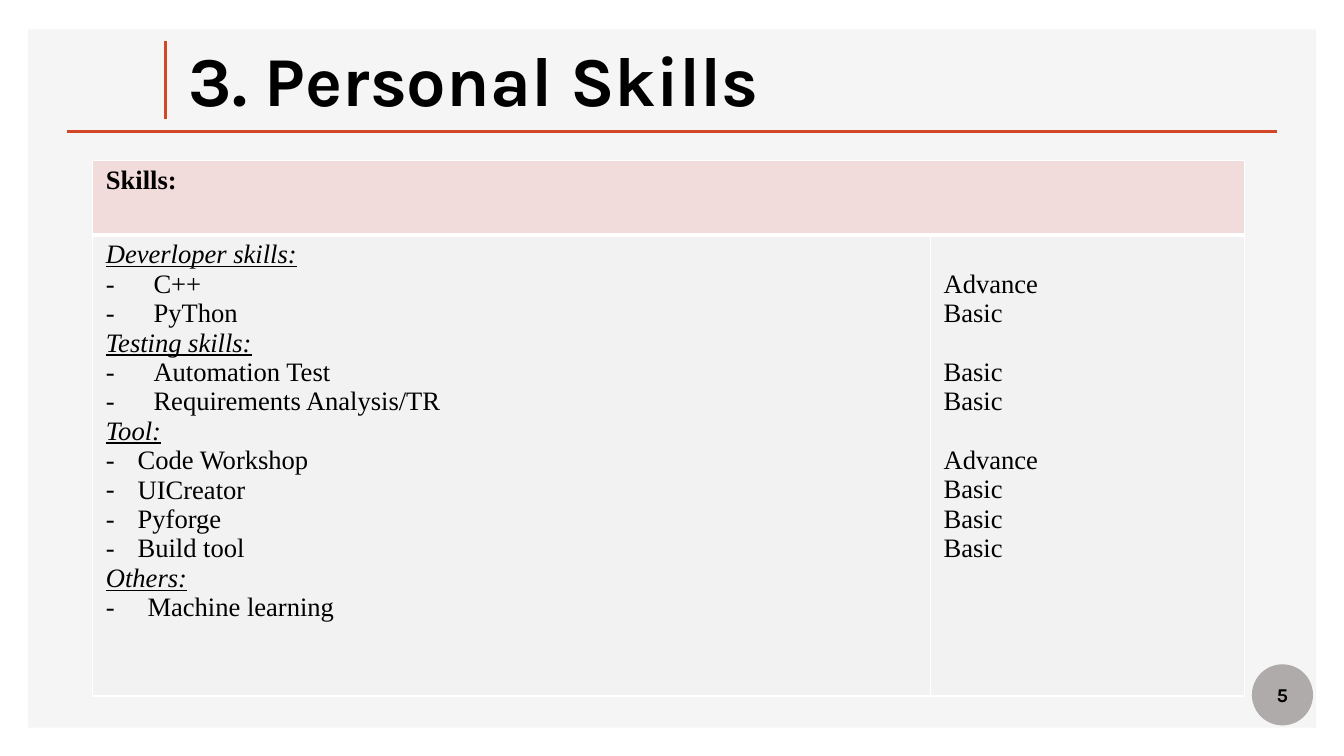
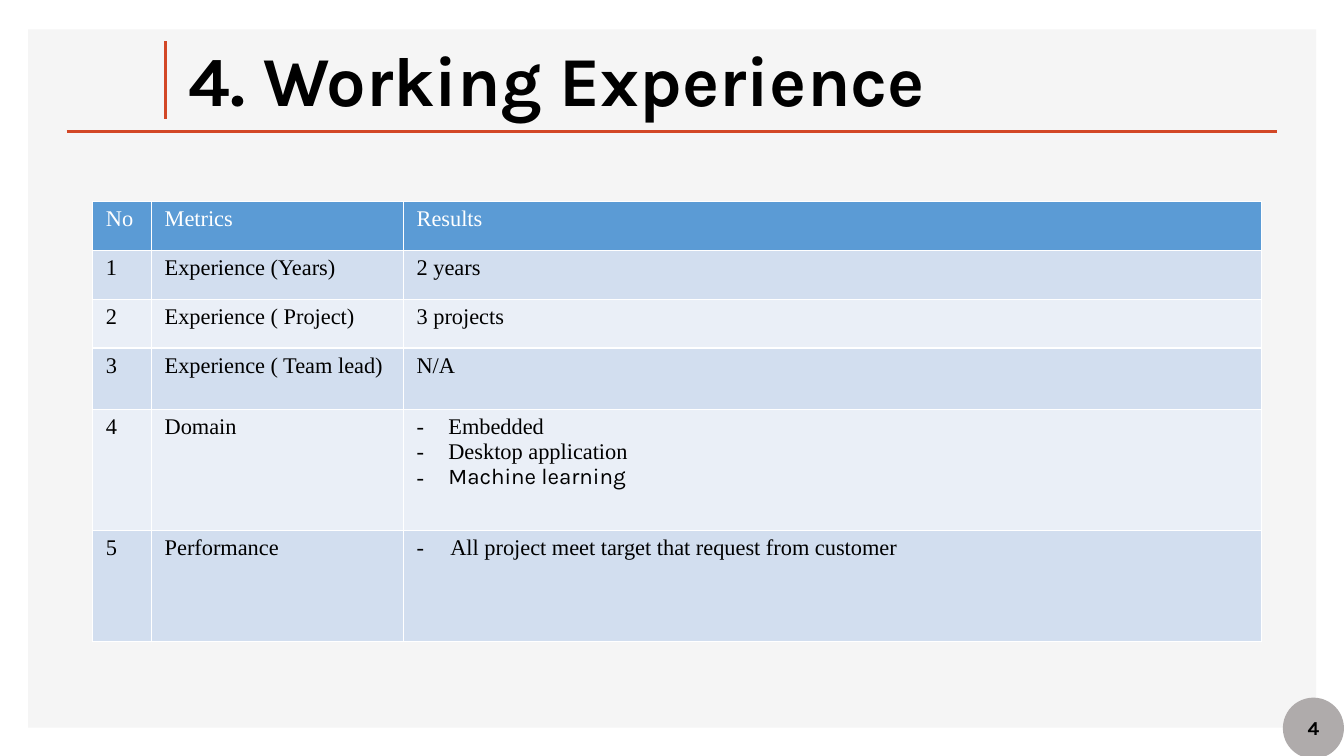
from dataclasses import dataclass

from lxml.etree import SubElement
from pptx import Presentation
from pptx.dml.color import RGBColor
from pptx.enum.shapes import MSO_CONNECTOR, MSO_SHAPE
from pptx.enum.text import MSO_ANCHOR, MSO_AUTO_SIZE, PP_ALIGN
from pptx.oxml.ns import qn
from pptx.util import Cm, Pt

# Shared colours and fonts
WHITE = RGBColor(0xFF, 0xFF, 0xFF)
BLACK = RGBColor(0x00, 0x00, 0x00)
PANEL = RGBColor(0xF5, 0xF5, 0xF5)
ACCENT = RGBColor(0xD2, 0x47, 0x26)
BADGE = RGBColor(0xAF, 0xAB, 0xAB)
PINK = RGBColor(0xF2, 0xDC, 0xDB)
PALE_GREY = RGBColor(0xF2, 0xF2, 0xF2)
BLUE = RGBColor(0x5B, 0x9B, 0xD5)
BAND_DARK = RGBColor(0xD2, 0xDE, 0xEF)
BAND_LIGHT = RGBColor(0xEA, 0xEF, 0xF7)

DISPLAY_FONT = "Karla"
TEXT_FONT = "Times New Roman"

TITLE_ONLY = 5
TITLE_BOX = (Cm(4.5), Cm(1.22), Cm(25), Cm(1.78))
BADGE_SIZE = Cm(1.54)
SKILLS_SIZE = Pt(19)
SKILLS_LINE = Pt(21)
METRICS_SIZE = Pt(16)
CELL_MARGIN_X = Cm(0.33)
CELL_MARGIN_Y = Cm(0.13)


@dataclass
class Line:
    """One paragraph of a table cell."""
    text: str
    indent: float = 0  # hanging indent of a dash, in cm
    heading: bool = False
    bold: bool = False
    space_before: int = 0
    font: str = TEXT_FONT


def set_font(paragraph, name, size, color, bold=False):
    font = paragraph.font
    font.name, font.size, font.bold = name, size, bold
    font.color.rgb = color


# Parts shared by all slides
def add_filled(slide, preset, box, color):
    shape = slide.shapes.add_shape(preset, *box)
    shape.shadow.inherit = False
    shape.fill.solid()
    shape.fill.fore_color.rgb = color
    shape.line.fill.background()
    return shape


def add_rule(slide, start, end, width):
    rule = slide.shapes.add_connector(MSO_CONNECTOR.STRAIGHT, *start, *end)
    rule.line.color.rgb = ACCENT
    rule.line.width = width
    SubElement(rule.element.spPr, qn("a:effectLst"))
    return rule


def decorate_layout(layout, slide):
    """Draw the panel and rules, then hand them to the layout, behind its text."""
    parts = [
        add_filled(slide, MSO_SHAPE.RECTANGLE,
                   (Cm(0.71), Cm(0.74), Cm(32.46), Cm(17.6)), PANEL),
        add_rule(slide, (Cm(1.68), Cm(3.32)), (Cm(32.18), Cm(3.32)), Pt(2)),
        add_rule(slide, (Cm(4.17), Cm(1.04)), (Cm(4.17), Cm(3)), Pt(2.25)),
    ]
    tree = layout.placeholders[0].element.getparent()
    for index, part in enumerate(parts):
        part.element.xpath(".//p:cNvPr")[0].set("id", str(100 + index))
        tree.insert(2 + index, part.element)


def add_title(slide, text):
    title = slide.shapes.title
    title.left, title.top, title.width, title.height = TITLE_BOX
    frame = title.text_frame
    frame.text = text
    frame.auto_size = MSO_AUTO_SIZE.NONE
    frame.vertical_anchor = MSO_ANCHOR.MIDDLE
    paragraph = frame.paragraphs[0]
    paragraph.alignment = PP_ALIGN.LEFT
    paragraph.line_spacing = 0.9
    set_font(paragraph, DISPLAY_FONT, Pt(50), BLACK, bold=True)


def add_badge(slide, number, left, top):
    badge = add_filled(slide, MSO_SHAPE.OVAL,
                       (left, top, BADGE_SIZE, BADGE_SIZE), BADGE)
    frame = badge.text_frame
    frame.text = number
    frame.vertical_anchor = MSO_ANCHOR.MIDDLE
    paragraph = frame.paragraphs[0]
    paragraph.alignment = PP_ALIGN.CENTER
    set_font(paragraph, DISPLAY_FONT, Pt(14), BLACK, bold=True)


# Tables
def add_plain_table(slide, left, top, widths, heights):
    """Widths and heights are in cm; the table has no banded style."""
    frame = slide.shapes.add_table(len(heights), len(widths), left, top,
                                   Cm(sum(widths)), Cm(sum(heights)))
    table = frame.table
    table.first_row = table.horz_banding = False
    for column, width in zip(table.columns, widths):
        column.width = Cm(width)
    for row, height in zip(table.rows, heights):
        row.height = Cm(height)
    return table


def style_cell(cell, color, top=1, bottom=1):
    """Set white borders (widths in points), margins and fill."""
    properties = cell._tc.get_or_add_tcPr()
    for side, points in (("L", 1), ("R", 1), ("T", top), ("B", bottom)):
        border = SubElement(properties, qn(f"a:ln{side}"), w=str(Pt(points)))
        fill = SubElement(border, qn("a:solidFill"))
        SubElement(fill, qn("a:srgbClr"), val=str(WHITE))
    cell.margin_left = cell.margin_right = CELL_MARGIN_X
    cell.margin_top = cell.margin_bottom = CELL_MARGIN_Y
    cell.fill.solid()
    cell.fill.fore_color.rgb = color


def add_dash(paragraph, indent):
    properties = paragraph._p.get_or_add_pPr()
    properties.set("marL", str(Cm(indent)))
    properties.set("indent", str(-Cm(indent)))
    SubElement(properties, qn("a:buFont"), typeface=TEXT_FONT)
    SubElement(properties, qn("a:buChar"), char="-")


def write_cell(cell, lines, size, color=BLACK):
    frame = cell.text_frame
    for index, line in enumerate(lines):
        paragraph = frame.add_paragraph() if index else frame.paragraphs[0]
        paragraph.text = line.text
        if line.indent:
            add_dash(paragraph, line.indent)
        if line.space_before:
            paragraph.space_before = line.space_before
        set_font(paragraph, line.font, size, color, line.bold)
        if line.heading:
            paragraph.font.italic = paragraph.font.underline = True


def add_skills_table(slide, left, top):
    # Heading, dash indent in cm, and (skill, level) pairs
    groups = [
        ("Deverloper skills:", 1.2, [("C++", "Advance"), ("PyThon", "Basic")]),
        ("Testing skills:", 1.2, [("Automation Test", "Basic"),
                                  ("Requirements Analysis/TR", "Basic")]),
        ("Tool:", 0.8, [("Code Workshop", "Advance"), ("UICreator", "Basic"),
                        ("Pyforge", "Basic"), ("Build tool", "Basic")]),
        ("Others:", 1.05, [("Machine learning", None)]),
    ]
    skills, levels = [], []
    for heading, indent, items in groups:
        skills.append(Line(heading, heading=True))
        skills += [Line(skill, indent) for skill, _ in items]
        # Each group of levels starts one line lower, beside its first skill
        gap = SKILLS_LINE if levels else 0
        for _, level in items:
            if level:
                levels.append(Line(level, space_before=gap))
                gap = 0

    table = add_plain_table(slide, left, top, (21.11, 7.92), (1.88, 11.62))
    for column in range(2):
        style_cell(table.cell(0, column), PINK, bottom=3)
        style_cell(table.cell(1, column), PALE_GREY, top=3)
    header = table.cell(0, 0)
    header.merge(table.cell(0, 1))
    write_cell(header, [Line("Skills:", bold=True)], SKILLS_SIZE)
    write_cell(table.cell(1, 0), skills, SKILLS_SIZE)
    level_cell = table.cell(1, 1)
    level_cell.margin_top = CELL_MARGIN_Y + SKILLS_LINE
    write_cell(level_cell, levels, SKILLS_SIZE)


def add_metrics_table(slide, left, top):
    metrics = [
        ("No", "Metrics", [Line("Results")]),
        ("1", "Experience (Years)", [Line("2 years")]),
        ("2", "Experience ( Project)", [Line("3 projects")]),
        ("3", "Experience ( Team lead)", [Line("N/A")]),
        ("4", "Domain", [Line("Embedded", 0.8),
                         Line("Desktop application", 0.8),
                         Line("Machine learning", 0.8, font=DISPLAY_FONT)]),
        ("5", "Performance",
         [Line("All project meet target that request from customer", 0.85)]),
    ]
    table = add_plain_table(slide, left, top, (1.48, 6.35, 21.62),
                            (1.23, 1.23, 1.23, 1.55, 3.05, 2.8))
    for row, (number, metric, results) in enumerate(metrics):
        band = BAND_DARK if row % 2 else BAND_LIGHT
        fill, color = (band, BLACK) if row else (BLUE, WHITE)
        for column, lines in enumerate(([Line(number)], [Line(metric)], results)):
            cell = table.cell(row, column)
            style_cell(cell, fill)
            write_cell(cell, lines, METRICS_SIZE, color)


# Slides
def build_skills(slide):
    add_title(slide, "3. Personal Skills")
    add_badge(slide, "5", Cm(31.55), Cm(16.74))
    add_skills_table(slide, Cm(2.34), Cm(4.04))


def build_experience(slide):
    add_title(slide, "4. Working Experience")
    add_badge(slide, "4", Cm(32.33), Cm(17.58))
    add_metrics_table(slide, Cm(2.34), Cm(5.08))


def main():
    presentation = Presentation()
    presentation.slide_width = Cm(33.87)
    presentation.slide_height = Cm(19.05)
    layout = presentation.slide_layouts[TITLE_ONLY]
    slides = [presentation.slides.add_slide(layout) for _ in range(2)]
    decorate_layout(layout, slides[0])
    build_skills(slides[0])
    build_experience(slides[1])
    presentation.save("out.pptx")


if __name__ == "__main__":
    main()
